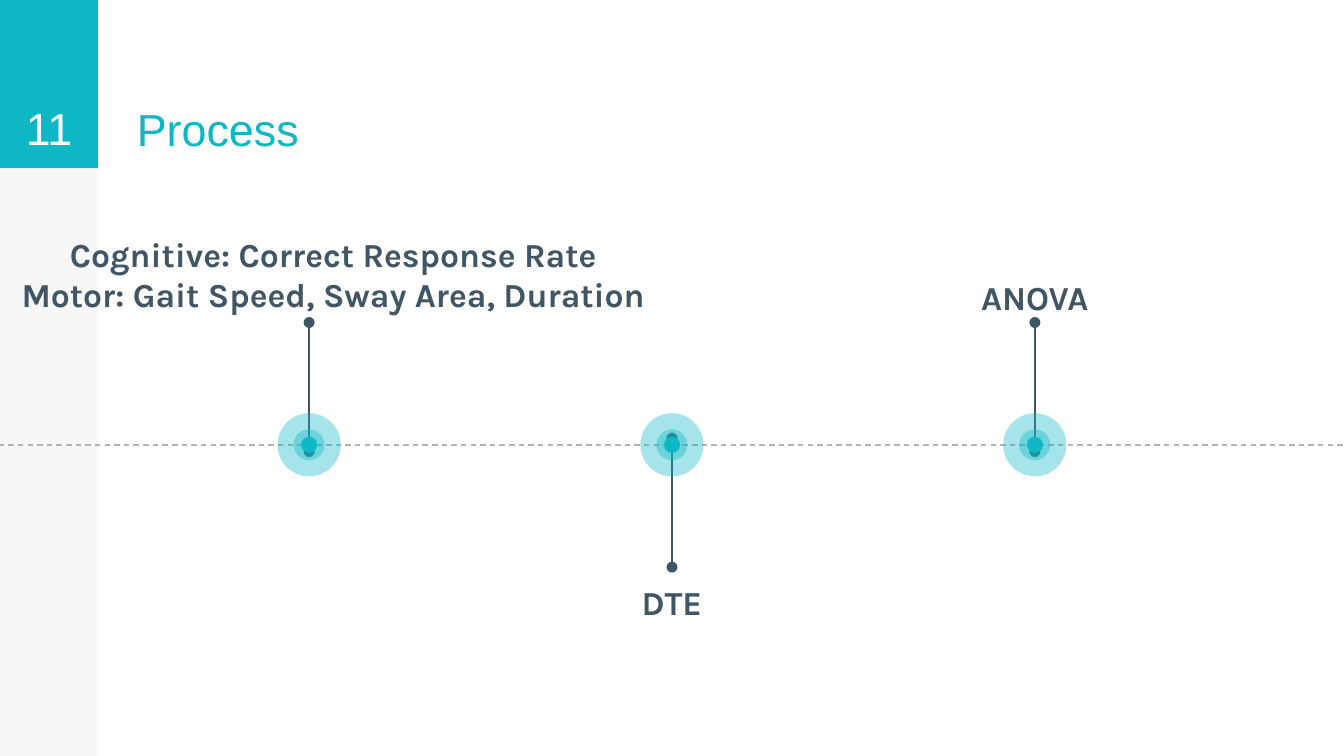
from lxml import etree
from pptx import Presentation
from pptx.dml.color import RGBColor
from pptx.enum.dml import MSO_LINE
from pptx.enum.shapes import MSO_CONNECTOR as Connector, MSO_SHAPE as Shape
from pptx.enum.text import MSO_ANCHOR as Anchor, PP_ALIGN as Align
from pptx.oxml.ns import qn
from pptx.util import Inches, Pt

COLORS = {"teal": "0DB7C4", "slate": "415665", "gray": "B3B3B3", "black": "000000", "white": "FFFFFF"}
SLIDE_WIDTH = 10
SLIDE_HEIGHT = SLIDE_WIDTH * 9 / 16
SIDEBAR_WIDTH, HEADER_HEIGHT = 0.73, 1.25


def color(name):
    """Return the named palette colour."""
    return RGBColor.from_string(COLORS[name])


def add_text(slide, text, box, size=18, font="Karla", fill="slate", bold=False,
             align=Align.CENTER, anchor=Anchor.TOP):
    """Add a text box with one paragraph for each line of text."""
    frame = slide.shapes.add_textbox(*map(Inches, box)).text_frame
    frame.word_wrap = True
    frame.vertical_anchor = anchor
    frame.margin_left = frame.margin_right = Inches(0.1)
    frame.margin_top = frame.margin_bottom = Inches(0.1)
    frame.text = text
    for paragraph in frame.paragraphs:
        paragraph.alignment = align
        for run in paragraph.runs:
            run.font.size = Pt(size)
            run.font.name = font
            run.font.bold = bold
            run.font.color.rgb = color(fill)


def add_filled(shapes, kind, box, fill, alpha=100):
    """Add a borderless shape, see-through when alpha is below 100."""
    shape = shapes.add_shape(kind, *map(Inches, box))
    shape.shadow.inherit = False
    shape.line.fill.background()
    shape.fill.solid()
    shape.fill.fore_color.rgb = color(fill)
    if alpha < 100:
        tint = shape.element.spPr.find(f".//{qn('a:srgbClr')}")
        etree.SubElement(tint, qn("a:alpha"), val=str(alpha * 1000))


def add_line(slide, start, end, stroke, dashed=False, dots=False):
    """Add a thin line, dashed or with a dot at both ends."""
    line = slide.shapes.add_connector(Connector.STRAIGHT, *map(Inches, (*start, *end)))
    line.line.color.rgb = color(stroke)
    line.line.width = Pt(0.75)
    if dashed:
        line.line.dash_style = MSO_LINE.DASH
    properties = line.element.spPr
    if dots:
        for tag in ("a:headEnd", "a:tailEnd"):
            etree.SubElement(properties.find(qn("a:ln")), qn(tag), type="oval")
    etree.SubElement(properties, qn("a:effectLst"))


def add_sidebar(slide, left, top, width, height):
    """Draw the side strip with the slide number block."""
    number_box = (left, top, width, HEADER_HEIGHT)
    add_filled(slide.shapes, Shape.RECTANGLE, (left, top, width, height), "black", alpha=3)
    add_filled(slide.shapes, Shape.RECTANGLE, number_box, "teal")
    add_text(slide, "11", number_box, size=24, font="Arial", fill="white", anchor=Anchor.BOTTOM)


def add_marker(slide, x, y):
    """Draw a group of concentric circles centred on a point."""
    group = slide.shapes.add_group_shape()
    for diameter, alpha in ((0.47, 37), (0.23, 37), (0.12, 100)):
        box = (x - diameter / 2, y - diameter / 2, diameter, diameter)
        add_filled(group.shapes, Shape.OVAL, box, "teal", alpha)


def add_timeline(slide, left, top, width, height):
    """Draw the dashed axis with its labelled stems and markers."""
    axis = top + height / 2
    middle, step = left + width / 2, 2.7
    stages = [
        ("Cognitive: Correct Response Rate\nMotor: Gait Speed, Sway Area, Duration",
         -1, (-2.58, -1.67, 5.52, 1)),
        ("DTE", 1, (-0.68, 0.92, 1.36, 0.45)),
        ("ANOVA", -1, (-0.68, -1.35, 1.36, 0.45)),
    ]
    centers = [middle + (index - 1) * step for index in range(len(stages))]
    add_line(slide, (left, axis), (left + width, axis), "gray", dashed=True)
    for x, (_, direction, _) in zip(centers, stages):
        add_line(slide, (x, axis - 0.05 * direction), (x, axis + 0.91 * direction), "slate", dots=True)
    for x, (label, _, (dx, dy, label_width, label_height)) in zip(centers, stages):
        add_text(slide, label, (x + dx, axis + dy, label_width, label_height), bold=True)
    for x in centers:
        add_marker(slide, x, axis)


def main():
    """Build and save the process slide."""
    presentation = Presentation()
    presentation.slide_width = Inches(SLIDE_WIDTH)
    presentation.slide_height = Inches(SLIDE_HEIGHT)
    slide = presentation.slides.add_slide(presentation.slide_layouts[6])
    add_sidebar(slide, 0, 0, SIDEBAR_WIDTH, SLIDE_HEIGHT)
    add_text(slide, "Process", (0.92, 0.01, 3.89, HEADER_HEIGHT), size=24, font="Arial",
             fill="teal", align=Align.LEFT, anchor=Anchor.BOTTOM)
    add_timeline(slide, -0.01, 1.64, 10.02, 3.34)
    presentation.save("out.pptx")


if __name__ == "__main__":
    main()
